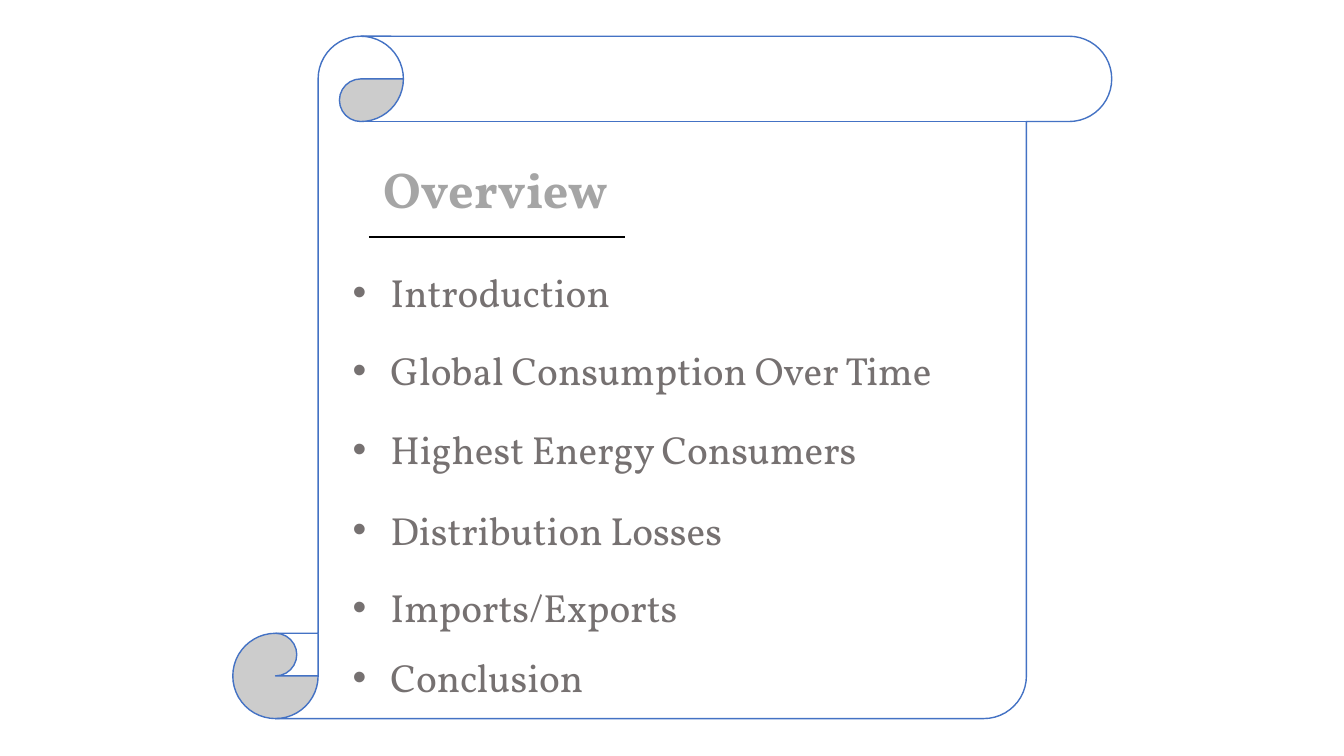
import pptx
import pptx.dml.color
import pptx.enum.shapes
import pptx.enum.text
import pptx.oxml
import pptx.oxml.ns
import pptx.util
from lxml import etree

Pt = pptx.util.Pt
RGBColor = pptx.dml.color.RGBColor

# Content: each topic with its top and width in points
HEADING = "Overview"
TOPICS = [
    ("Introduction", 187.9, 446.4),
    ("Global Consumption Over Time", 244.1, 478.8),
    ("Highest Energy Consumers", 300.2, 434.9),
    ("Distribution Losses", 357.8, 446.4),
    ("Imports/Exports", 413.3, 446.4),
    ("Conclusion", 463, 193),
]

# Style
FONT = "Vollkorn"
WHITE = RGBColor(0xFF, 0xFF, 0xFF)
BLACK = RGBColor(0, 0, 0)
SCROLL_BLUE = RGBColor(0x44, 0x72, 0xC4)
HEADING_GREY = RGBColor(0xA5, 0xA5, 0xA5)
TOPIC_GREY = RGBColor(0x76, 0x71, 0x71)
TOPIC_LEFT, TOPIC_HEIGHT, BULLET_INDENT = 244.8, 41.2, 27
RULE_LEFT, RULE_RIGHT, RULE_TOP = 263.5, 446.4, 169.2


def style_text(frame, size, color, bold=False):
    frame.vertical_anchor = pptx.enum.text.MSO_ANCHOR.TOP
    paragraph = frame.paragraphs[0]
    paragraph.alignment = pptx.enum.text.PP_ALIGN.LEFT
    paragraph.line_spacing = 1.0
    font = paragraph.runs[0].font
    font.name, font.size, font.bold = FONT, Pt(size), bold
    font.color.rgb = color


def add_topic(slide, topic, top, width):
    box = slide.shapes.add_textbox(Pt(TOPIC_LEFT), Pt(top), Pt(width), Pt(TOPIC_HEIGHT))
    frame = box.text_frame
    frame.word_wrap = True
    frame.text = topic
    properties = frame.paragraphs[0]._p.get_or_add_pPr()
    properties.set("marL", str(Pt(BULLET_INDENT)))
    properties.set("indent", str(-Pt(BULLET_INDENT)))
    bullet_font = etree.SubElement(properties, pptx.oxml.ns.qn("a:buFont"))
    bullet_font.set("typeface", "Arial")
    bullet = etree.SubElement(properties, pptx.oxml.ns.qn("a:buChar"))
    bullet.set("char", "•")
    style_text(frame, 28, TOPIC_GREY)


def main():
    deck = pptx.Presentation()
    deck.slide_width, deck.slide_height = Pt(960), Pt(540)
    slide = deck.slides.add_slide(deck.slide_layouts[5])

    # Scroll, placed behind the heading
    scroll = slide.shapes.add_shape(
        pptx.enum.shapes.MSO_SHAPE.VERTICAL_SCROLL, Pt(166.3), Pt(25.9), Pt(627.8), Pt(487.4))
    scroll.shadow.inherit = False
    scroll.fill.solid()
    scroll.fill.fore_color.rgb = WHITE
    scroll.line.color.rgb = SCROLL_BLUE
    scroll.line.width = Pt(1)
    slide.shapes._spTree.insert(2, scroll._element)

    # Heading
    heading = slide.shapes.title
    heading.left, heading.top = Pt(266.4), Pt(109.4)
    heading.width, heading.height = Pt(182.9), Pt(51.1)
    heading.text_frame.text = HEADING
    heading.text_frame.word_wrap = True
    heading.text_frame.auto_size = pptx.enum.text.MSO_AUTO_SIZE.NONE
    style_text(heading.text_frame, 36, HEADING_GREY, bold=True)

    # Rule under the heading
    rule = slide.shapes.add_connector(
        pptx.enum.shapes.MSO_CONNECTOR.STRAIGHT,
        Pt(RULE_LEFT), Pt(RULE_TOP), Pt(RULE_RIGHT), Pt(RULE_TOP))
    rule.line.color.rgb = BLACK
    rule.line.width = Pt(1.5)
    etree.SubElement(rule._element.spPr, pptx.oxml.ns.qn("a:effectLst"))

    # Topics
    for topic, top, width in TOPICS:
        add_topic(slide, topic, top, width)

    deck.save("out.pptx")


if __name__ == "__main__":
    main()
